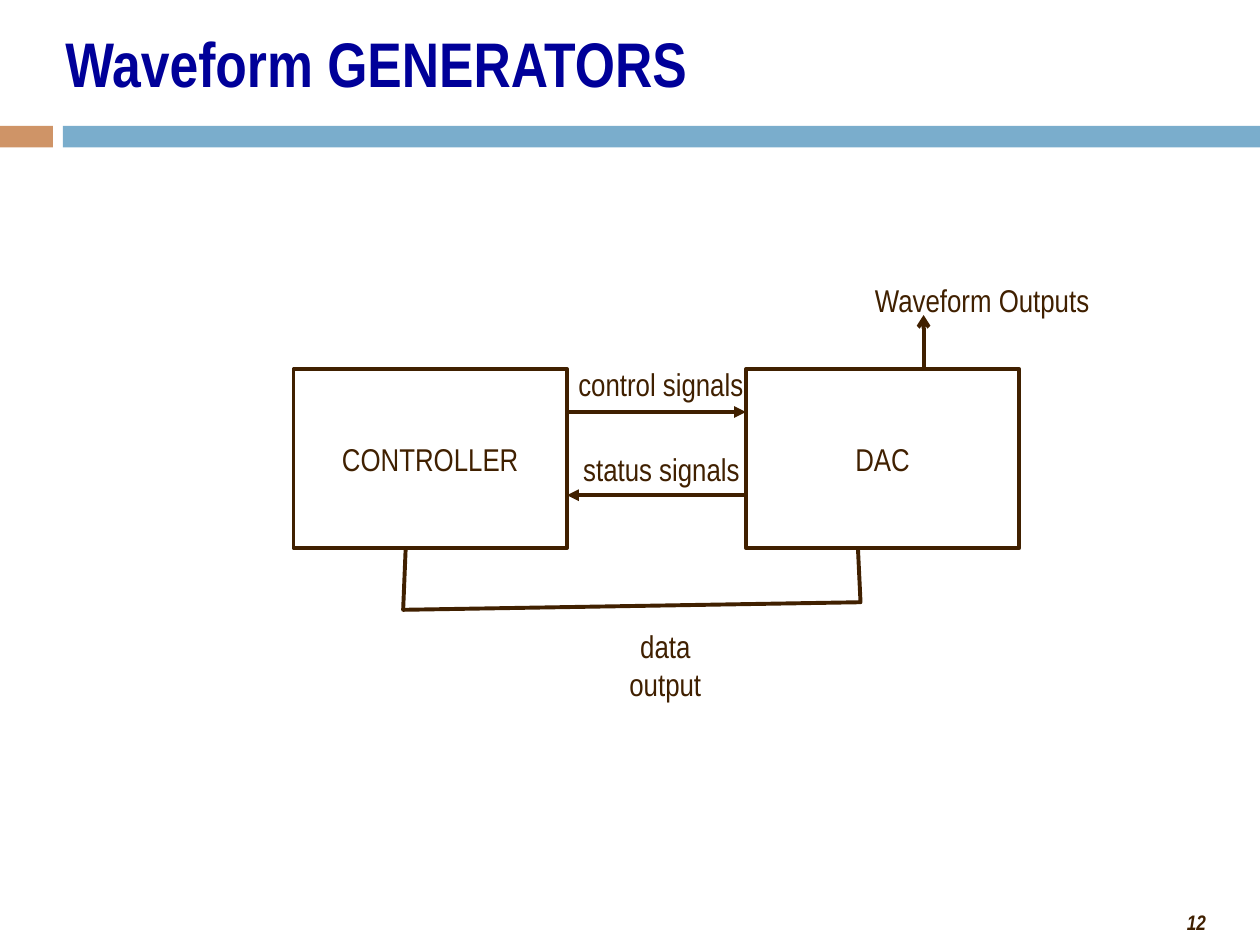
from dataclasses import dataclass
from lxml.etree import SubElement
from pptx import Presentation
from pptx.dml.color import RGBColor
from pptx.enum.shapes import MSO_CONNECTOR, MSO_SHAPE
from pptx.enum.text import MSO_ANCHOR, PP_ALIGN
from pptx.oxml.ns import qn
from pptx.util import Inches, Pt


@dataclass(frozen=True)
class Theme:
    font: str = "Arial Narrow"
    ink: str = "402000"
    title: str = "000099"
    tan: str = "CF9467"
    blue: str = "7AADCC"
    head: int = 36
    body: int = 18
    small: int = 12
    line: float = 2.25


THEME = Theme()


def color(code):
    return RGBColor.from_string(code)


def write(shape, text, size=THEME.body, tint=THEME.ink, align=PP_ALIGN.CENTER,
          anchor=MSO_ANCHOR.MIDDLE, wrap=True, bold=False, italic=False):
    frame = shape.text_frame
    frame.word_wrap = wrap
    frame.vertical_anchor = anchor
    para = frame.paragraphs[0]
    para.alignment = align
    run = para.add_run()
    run.text = text
    font = run.font
    font.name, font.size = THEME.font, Pt(size)
    font.bold, font.italic = bold, italic
    font.color.rgb = color(tint)


def label(slide, text, left, top, width, height=0.4, **style):
    box = slide.shapes.add_textbox(
        Inches(left), Inches(top), Inches(width), Inches(height))
    write(box, text, **style)


def rect(slide, left, top, width, height):
    shape = slide.shapes.add_shape(
        MSO_SHAPE.RECTANGLE,
        Inches(left), Inches(top), Inches(width), Inches(height))
    shape.shadow.inherit = False
    return shape


def band(slide, left, width, tint):
    bar = rect(slide, left, 1, width, 0.17)
    bar.fill.solid()
    bar.fill.fore_color.rgb = color(tint)
    bar.line.fill.background()


def stroke(line):
    line.color.rgb = color(THEME.ink)
    line.width = Pt(THEME.line)


def block(slide, text, left, top, width, height):
    shape = rect(slide, left, top, width, height)
    shape.fill.background()
    stroke(shape.line)
    write(shape, text)


def arrow(slide, start, end, head="triangle"):
    link = slide.shapes.add_connector(
        MSO_CONNECTOR.STRAIGHT, *(Inches(v) for v in (*start, *end)))
    stroke(link.line)
    props = link._element.spPr
    SubElement(props.find(qn("a:ln")), qn("a:tailEnd"), type=head)
    SubElement(props, qn("a:effectLst"))


def wire(slide, points):
    spots = [(Inches(x), Inches(y)) for x, y in points]
    build = slide.shapes.build_freeform(*spots[0])
    build.add_line_segments(spots[1:], close=False)
    shape = build.convert_to_shape()
    shape.shadow.inherit = False
    shape.fill.background()
    stroke(shape.line)


def main():
    deck = Presentation()
    deck.slide_width, deck.slide_height = Inches(10), Inches(7.5)
    slide = deck.slides.add_slide(deck.slide_layouts[6])

    # Title, bands and page number
    label(slide, "Waveform GENERATORS", 0.42, 0.08, 9.17, 0.83,
          size=THEME.head, tint=THEME.title, align=PP_ALIGN.LEFT, bold=True)
    band(slide, 0, 0.42, THEME.tan)
    band(slide, 0.5, 9.5, THEME.blue)
    label(slide, "12", 7.5, 7.17, 2.17, 0.3, size=THEME.small,
          align=PP_ALIGN.RIGHT, anchor=MSO_ANCHOR.TOP, bold=True, italic=True)

    # Two blocks
    left, right, top, width, height = 2.33, 5.92, 2.93, 2.17, 1.42
    block(slide, "CONTROLLER", left, top, width, height)
    block(slide, "DAC", right, top, width, height)

    # Signals between the blocks
    edge = left + width
    arrow(slide, (edge, 3.27), (right, 3.27))
    arrow(slide, (right, 3.93), (edge, 3.93))

    # Data path below and output above
    wire(slide, [(6.81, 4.36), (6.83, 4.78), (3.2, 4.84), (3.22, 4.36)])
    arrow(slide, (7.33, top), (7.33, 2.5), "arrow")

    # Signal names
    for text, x, y, wide in (
        ("control signals", 4.49, 2.85, 1.51),
        ("status signals", 4.53, 3.52, 1.44),
        ("data output", 4.67, 4.93, 1.22),
        ("Waveform Outputs", 6.84, 2.18, 1.91),
    ):
        label(slide, text, x, y, wide, anchor=MSO_ANCHOR.TOP, wrap=False)

    deck.save("out.pptx")


if __name__ == "__main__":
    main()
